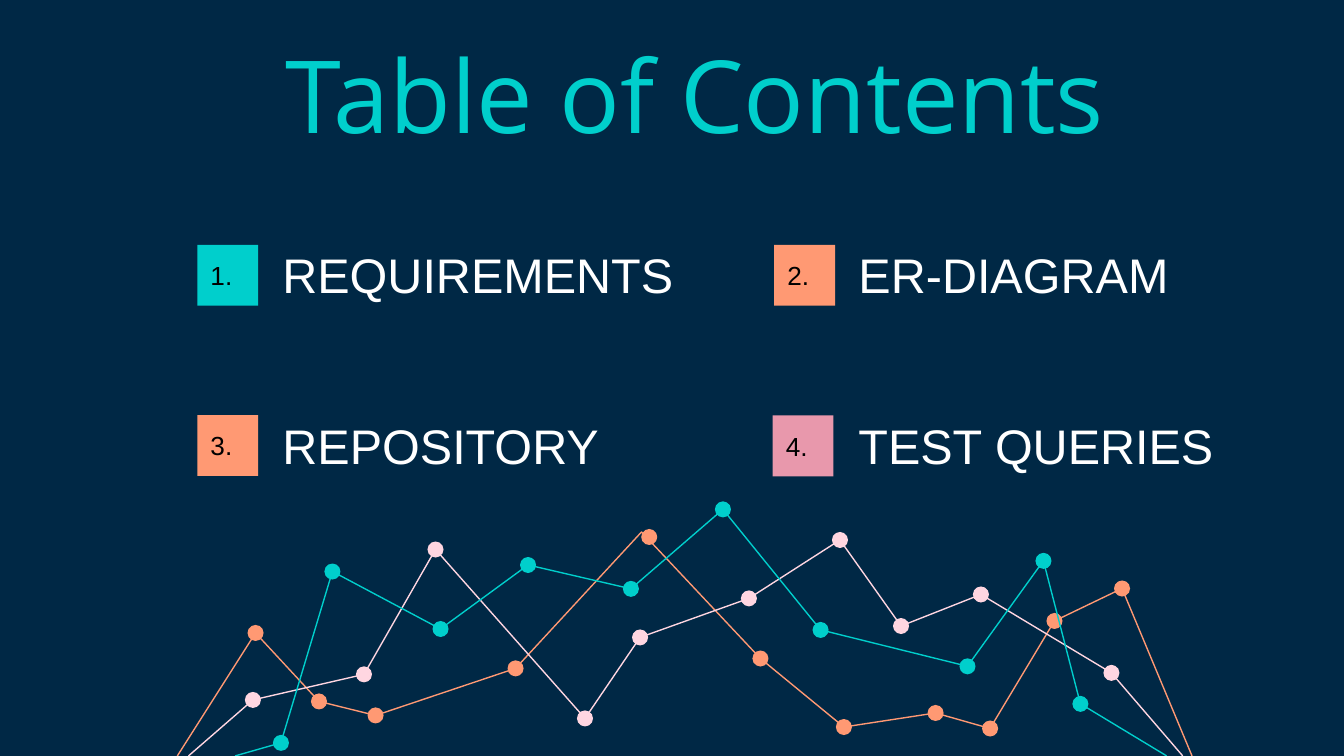
from dataclasses import dataclass

import pptx
import pptx.dml.color
import pptx.enum.shapes
import pptx.enum.text
import pptx.util

Pt = pptx.util.Pt
Anchor = pptx.enum.text.MSO_ANCHOR
Align = pptx.enum.text.PP_ALIGN
AutoShape = pptx.enum.shapes.MSO_SHAPE

NAVY, TEAL, ORANGE = "002845", "00CFCC", "FF9973"
BLUSH, ROSE, WHITE, BLACK = "FFD6E1", "E898AC", "FFFFFF", "000000"
DOT_SIZE = 8.6
BADGE_SIZE = 32.6


@dataclass
class Series:
    """A line from start to end through dots; bends moves the line off a dot."""
    color: str
    start: tuple[float, float]
    dots: list[tuple[float, float]]
    end: tuple[float, float]
    bends: dict[int, tuple[float, float]]


@dataclass
class Entry:
    number: str
    label: str
    color: str
    left: float
    top: float
    label_left: float
    label_width: float


SERIES = [
    Series(ORANGE, (95, 405),
           [(136.9, 339.1), (170.9, 375.8), (201.2, 383.3), (276.2, 358.1),
            (347.8, 287.7), (407.4, 352.8), (452.1, 389.5), (501.2, 382),
            (530.4, 390.3), (564.9, 332.7), (601.1, 315.3)],
           (638.6, 405), {4: (343.7, 285)}),
    Series(BLUSH, (101, 405),
           [(135.5, 375), (195, 361.3), (233.3, 294.4), (313.4, 384.9),
            (342.9, 341.5), (401.2, 320.6), (450, 289.3), (482.7, 335.4),
            (525.5, 318.5), (595.4, 360.5)],
           (633.6, 405), {}),
    Series(TEAL, (126, 405),
           [(150.5, 398), (178.1, 306.2), (236, 337), (282.9, 302.7),
            (338, 315.5), (387.3, 272.9), (439.6, 337.5), (518.3, 357),
            (559, 300.5), (578.8, 377.1)],
           (625, 405), {}),
]

ENTRIES = [
    Entry("1.", "REQUIREMENTS", TEAL, 105.7, 131.2, 144.2, 225),
    Entry("2.", "ER-DIAGRAM", ORANGE, 414.8, 131.2, 452.8, 181),
    Entry("3.", "REPOSITORY", ORANGE, 105.7, 222.4, 144.2, 184),
    Entry("4.", "TEST QUERIES", ROSE, 413.9, 222.6, 452.8, 205),
]


def rgb(color: str) -> pptx.dml.color.RGBColor:
    return pptx.dml.color.RGBColor.from_string(color)


def write_text(shape, text: str, *, size: float, color: str, font: str = "Arial",
               align=Align.LEFT, anchor=Anchor.MIDDLE,
               wrap: bool = True, inset: float = 7.2) -> None:
    frame = shape.text_frame
    frame.word_wrap = wrap
    frame.vertical_anchor = anchor
    frame.margin_left = frame.margin_right = Pt(7.2)
    frame.margin_top = frame.margin_bottom = Pt(inset)
    paragraph = frame.paragraphs[0]
    paragraph.alignment = align
    run = paragraph.add_run()
    run.text = text
    run.font.size = Pt(size)
    run.font.name = font
    run.font.color.rgb = rgb(color)


def add_filled(slide, kind, left: float, top: float, size: float, color: str):
    """Add a square-framed preset shape with a plain fill and no outline."""
    shape = slide.shapes.add_shape(kind, Pt(left), Pt(top), Pt(size), Pt(size))
    shape.shadow.inherit = False
    shape.fill.solid()
    shape.fill.fore_color.rgb = rgb(color)
    shape.line.fill.background()
    return shape


def add_series(slide, series: Series) -> None:
    bends = [series.bends.get(i, dot) for i, dot in enumerate(series.dots)]
    start, *rest = [(Pt(x), Pt(y)) for x, y in [series.start, *bends, series.end]]
    builder = slide.shapes.build_freeform(*start)
    builder.add_line_segments(rest, close=False)
    line = builder.convert_to_shape()
    line.shadow.inherit = False
    line.fill.background()
    line.line.color.rgb = rgb(series.color)
    line.line.width = Pt(0.75)
    for x, y in series.dots:
        add_filled(slide, AutoShape.OVAL, x - DOT_SIZE / 2, y - DOT_SIZE / 2,
                   DOT_SIZE, series.color)


def add_entry(slide, entry: Entry) -> None:
    badge = add_filled(slide, AutoShape.RECTANGLE, entry.left, entry.top,
                       BADGE_SIZE, entry.color)
    write_text(badge, entry.number, size=14, color=BLACK)
    label = slide.shapes.add_textbox(Pt(entry.label_left), Pt(entry.top - 3.3),
                                     Pt(entry.label_width), Pt(36))
    write_text(label, entry.label, size=26, color=WHITE, anchor=Anchor.TOP,
               wrap=False, inset=3.6)


def main() -> None:
    presentation = pptx.Presentation()
    presentation.slide_width = Pt(720)
    presentation.slide_height = Pt(405)
    slide = presentation.slides.add_slide(presentation.slide_layouts[6])
    slide.background.fill.solid()
    slide.background.fill.fore_color.rgb = rgb(NAVY)

    for series in SERIES:
        add_series(slide, series)

    title = slide.shapes.add_textbox(Pt(126), Pt(0), Pt(493), Pt(89.3))
    write_text(title, "Table of Contents", size=54, color=TEAL,
               font="Open Sans", align=Align.CENTER, anchor=Anchor.BOTTOM)

    for entry in ENTRIES:
        add_entry(slide, entry)

    presentation.save("out.pptx")


if __name__ == "__main__":
    main()
